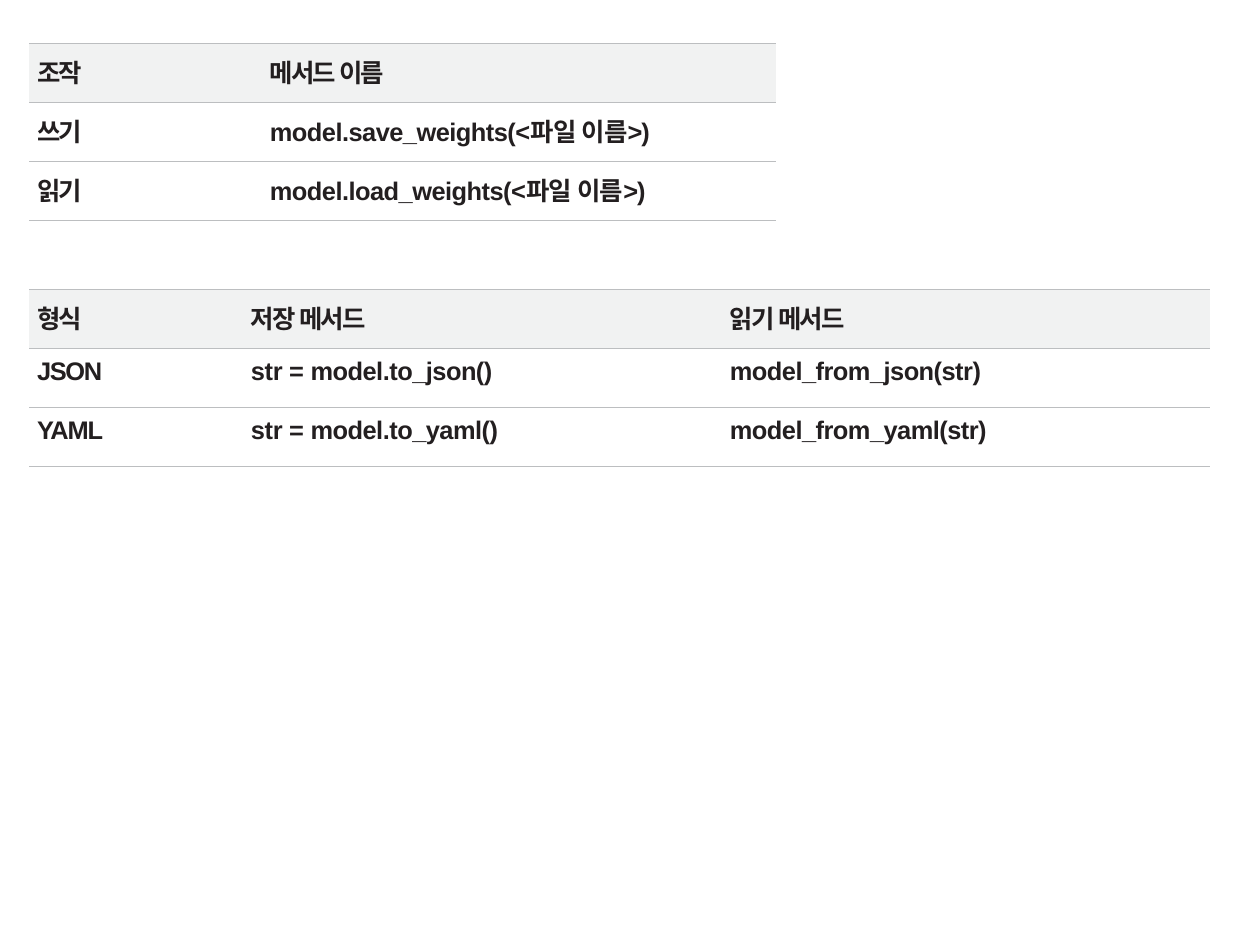
import pptx
import pptx.dml.color
import pptx.oxml
import pptx.oxml.ns
import pptx.util

EMU_PER_PX = 7993
COLORS = {"text": "231F20", "header": "F1F2F2", "rule": "BCBEC0"}
FONT = "Arial"
LEFT = 29
ROW_HEIGHT = 59
CELL_TOP = 10

WEIGHT_ROWS = [
    [[("조작", -1.4)], [("메서드", -1.2), (" 이름", -1.4)]],
    [[("쓰기", -1.4)], [("model.save_weights(<파일 ", -0.3), ("이름>)", -0.6)]],
    [[("읽기", -1.4)], [("model.load_weights(<파일 ", -0.3), ("이름>)", -0.6)]],
]
FORMAT_ROWS = [
    [
        [("형식", -1.4)],
        [("저장 ", -1.1), ("메서드", -1.4)],
        [("읽기 ", -1.1), ("메서드", -1.4)],
    ],
    [
        [("JSON", -0.8)],
        [("str = ", -0.2), ("model.to_json()", -0.3)],
        [("model_from_json(str)", -0.3)],
    ],
    [
        [("YAML", -0.7)],
        [("str = ", -0.2), ("model.to_yaml()", -0.3)],
        [("model_from_yaml(str)", -0.3)],
    ],
]


def px(length):
    return pptx.util.Emu(length * EMU_PER_PX)


def color(name):
    return pptx.dml.color.RGBColor.from_string(COLORS[name])


def set_borders(cell):
    properties = cell._tc.get_or_add_tcPr()
    rule = f'<a:solidFill><a:srgbClr val="{COLORS["rule"]}"/></a:solidFill>'
    namespace = pptx.oxml.ns.nsdecls("a")
    for side, fill in (
        ("L", "<a:noFill/>"),
        ("R", "<a:noFill/>"),
        ("T", rule),
        ("B", rule),
    ):
        width = pptx.util.Pt(0.5)
        properties.append(
            pptx.oxml.parse_xml(
                f'<a:ln{side} {namespace} w="{width}">{fill}</a:ln{side}>'
            )
        )


def fill_cell(cell, runs, indent, is_header):
    set_borders(cell)
    if is_header:
        cell.fill.solid()
        cell.fill.fore_color.rgb = color("header")
    else:
        cell.fill.background()
    cell.margin_left = cell.margin_right = cell.margin_bottom = 0
    cell.margin_top = px(CELL_TOP)
    paragraph = cell.text_frame.paragraphs[0]
    paragraph._p.get_or_add_pPr().set("marL", str(px(indent)))
    for text, spacing in runs:
        run = paragraph.add_run()
        run.text = text
        run.font.name = FONT
        run.font.size = pptx.util.Pt(16)
        run.font.bold = True
        run.font.color.rgb = color("text")
        run._r.get_or_add_rPr().set("spc", str(round(spacing * 100)))


def add_method_table(slide, top, widths, indents, rows):
    shape = slide.shapes.add_table(
        len(rows),
        len(widths),
        px(LEFT),
        px(top),
        px(sum(widths)),
        px(ROW_HEIGHT * len(rows)),
    )
    table = shape.table
    table.first_row = False
    table.horz_banding = False
    for column, width in zip(table.columns, widths):
        column.width = px(width)
    for row_index, row in enumerate(rows):
        table.rows[row_index].height = px(ROW_HEIGHT)
        for column_index, runs in enumerate(row):
            cell = table.cell(row_index, column_index)
            fill_cell(cell, runs, indents[column_index], row_index == 0)


def main():
    presentation = pptx.Presentation()
    presentation.slide_width = px(1260)
    presentation.slide_height = px(945)
    slide = presentation.slides.add_slide(presentation.slide_layouts[6])
    add_method_table(slide, 43, [191, 556], [8, 50], WEIGHT_ROWS)
    add_method_table(slide, 289, [176, 470, 535], [8, 46, 55], FORMAT_ROWS)
    presentation.save("out.pptx")


if __name__ == "__main__":
    main()
